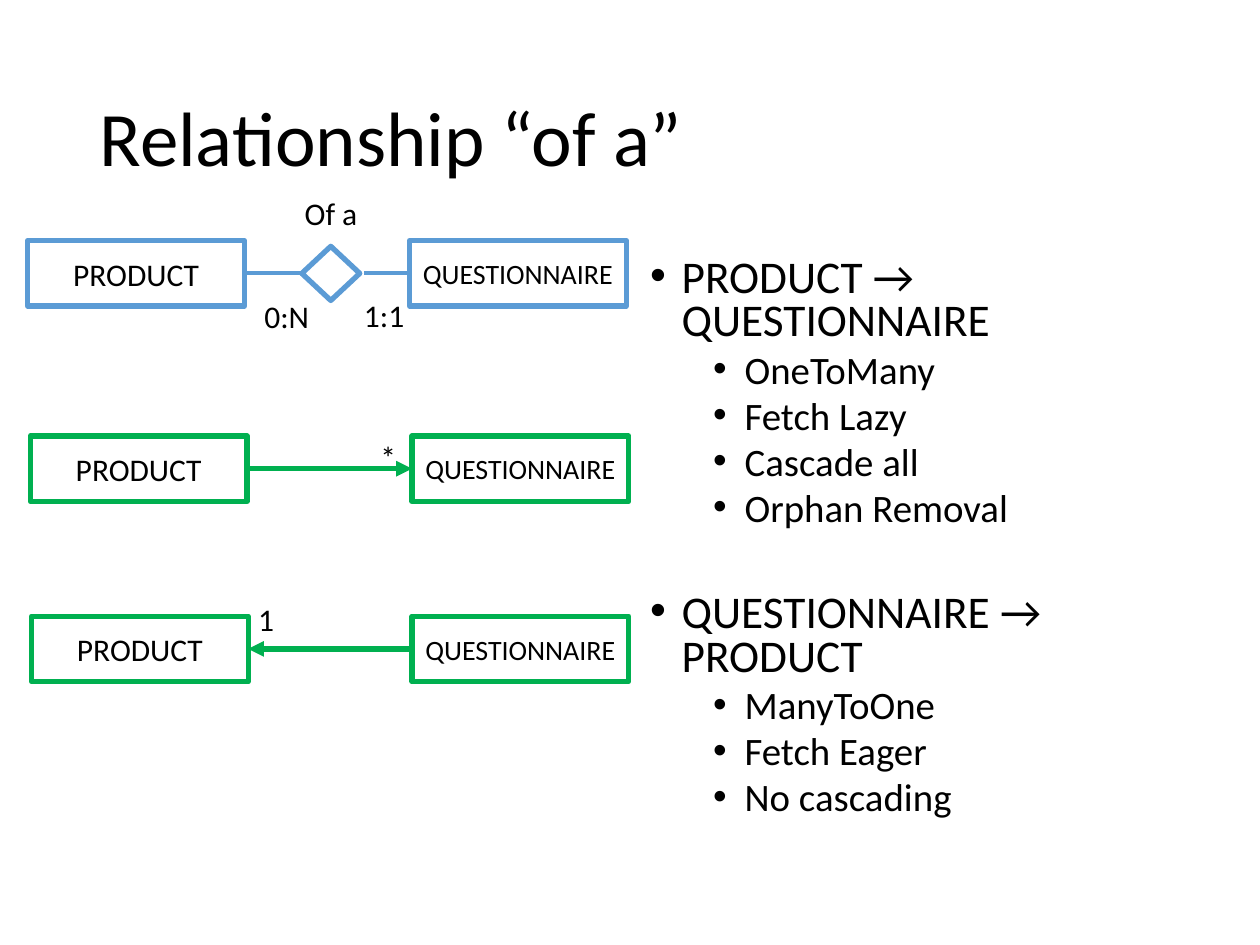
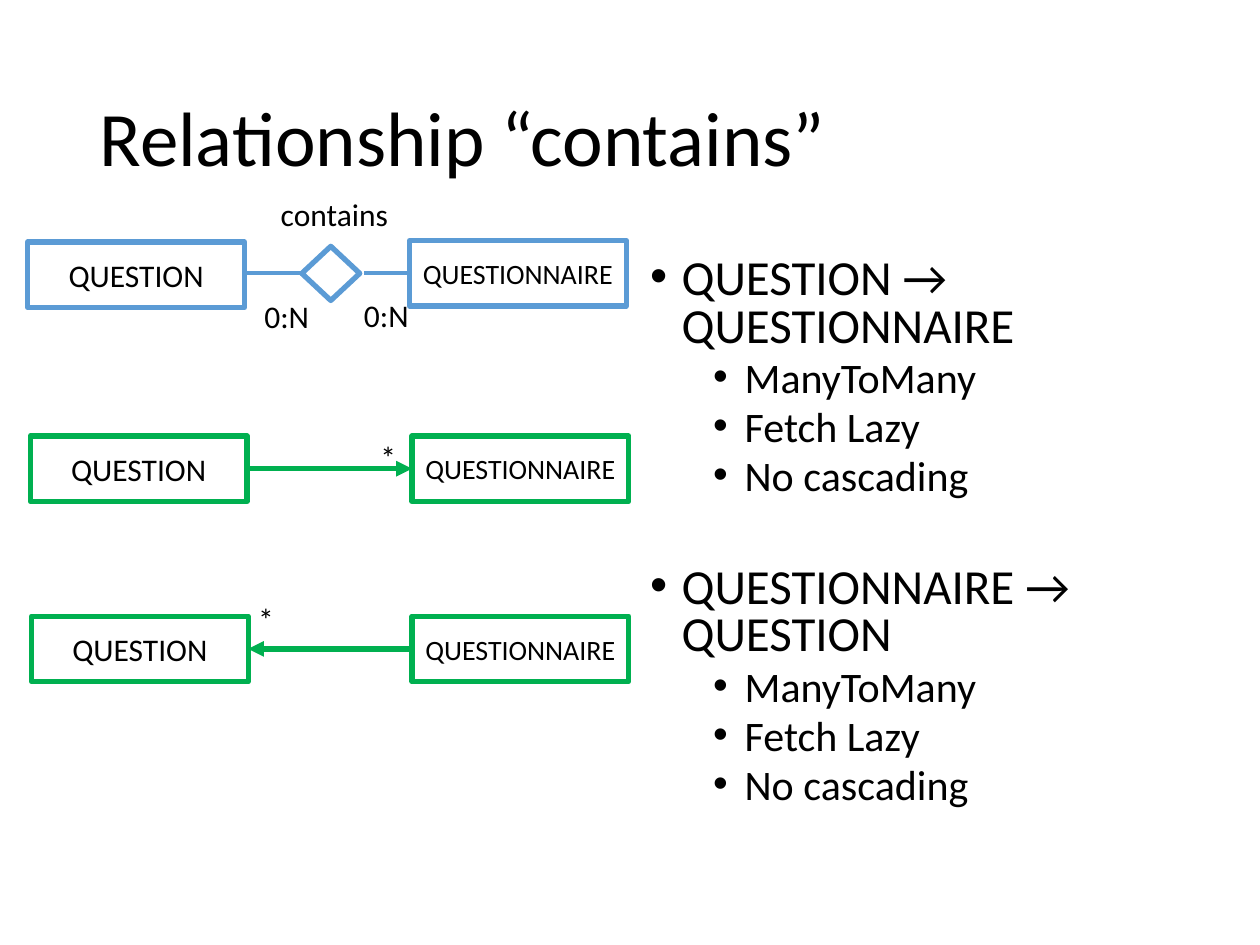
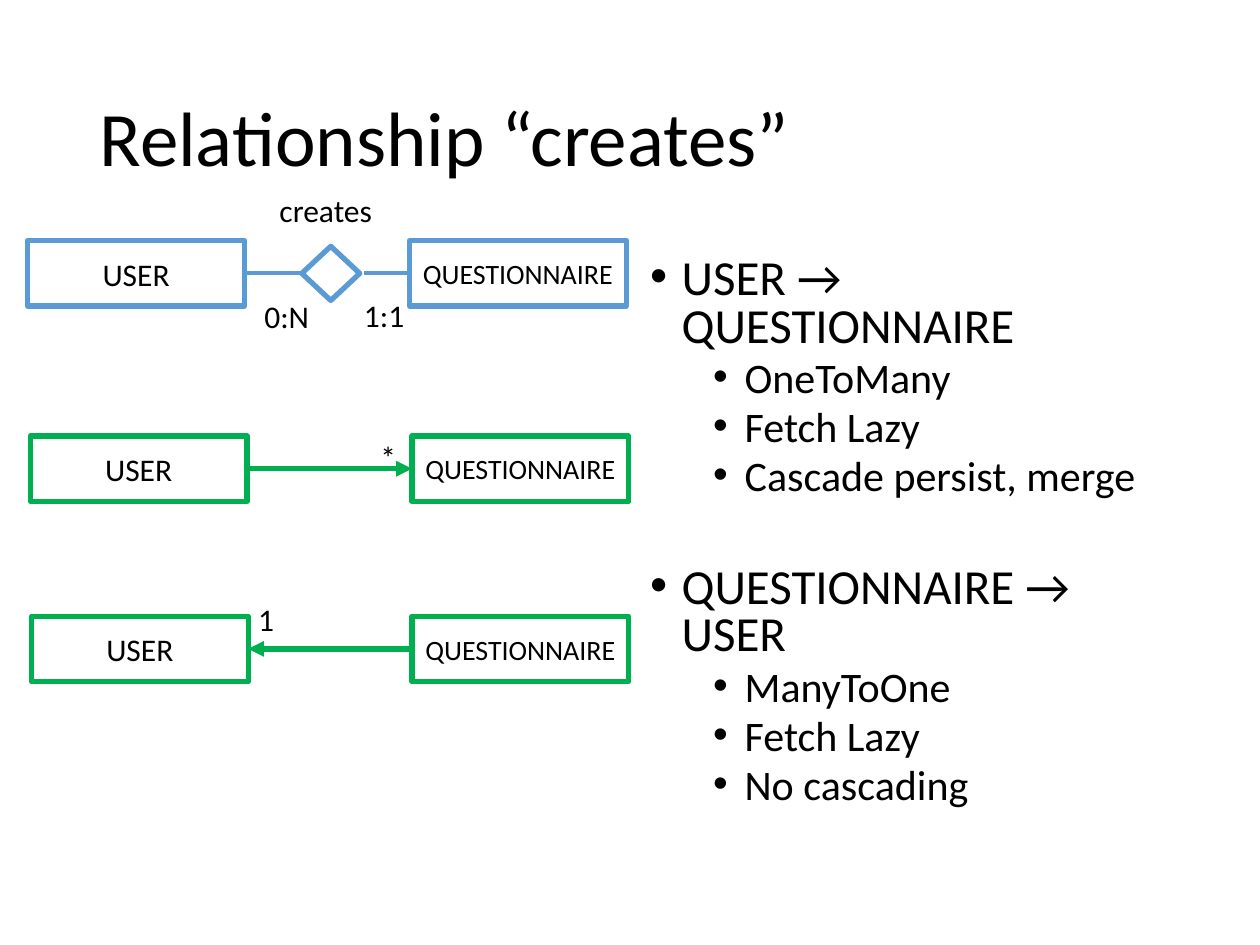
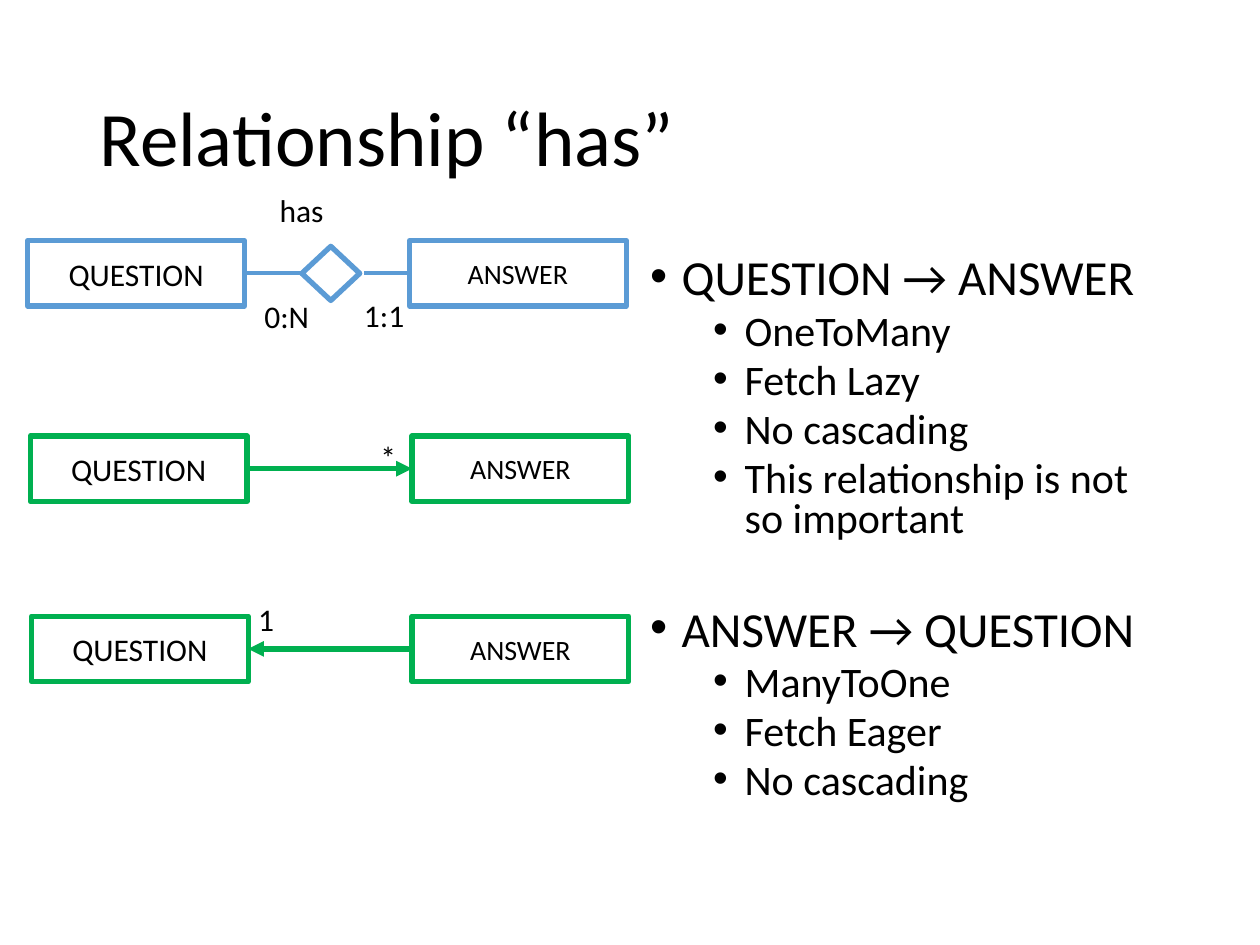
"""Build four slides that map entity relationships to object links."""
from dataclasses import dataclass

from lxml import etree
from pptx import Presentation
from pptx.dml.color import RGBColor
from pptx.enum.shapes import MSO_CONNECTOR, MSO_SHAPE
from pptx.enum.text import MSO_ANCHOR, MSO_AUTO_SIZE, PP_ALIGN
from pptx.oxml.ns import qn
from pptx.util import Emu, Pt

PX = 9144
FONT = "Calibri"
COLORS = {"text": "000000", "white": "FFFFFF", "blue": "5B9BD5", "green": "00B050"}
RECT, DIAMOND = MSO_SHAPE.RECTANGLE, MSO_SHAPE.DIAMOND
LINE = MSO_CONNECTOR.STRAIGHT
LEFT, CENTER = PP_ALIGN.LEFT, PP_ALIGN.CENTER
MIDDLE, TOP = MSO_ANCHOR.MIDDLE, MSO_ANCHOR.TOP
FIXED, GROW = MSO_AUTO_SIZE.NONE, MSO_AUTO_SIZE.SHAPE_TO_FIT_TEXT
BOX_W, BOX_H, TAG_H = 172, 52, 40


@dataclass(frozen=True)
class Tag:
    text: str
    left: int
    top: int
    width: int


@dataclass(frozen=True)
class Row:
    left: int
    right: int
    top: int
    color: str
    fill: str | None = None
    arrow: str | None = None

    @property
    def mid(self) -> int:
        return self.top + BOX_H // 2


@dataclass(frozen=True)
class Topic:
    verb: Tag
    source: str
    target: str
    near: Tag
    back: str
    there: list[str]
    home: list[str]
    head: float = 28
    sub: float = 24
    drop: int = 0


ER = Row(22, 325, 191, "blue", fill="white")
LINKS = [Row(24, 327, 346, "green", arrow="headEnd"),
         Row(25, 327, 489, "green", arrow="tailEnd")]
ONE = Tag("1:1", 279, 230, 53)
MANY = Tag("0:N", 279, 230, 56)
TOPICS = [
    Topic(Tag("Of a", 232, 149, 62), "PRODUCT", "QUESTIONNAIRE", ONE, "1",
          ["OneToMany", "Fetch Lazy", "Cascade all", "Orphan Removal"],
          ["ManyToOne", "Fetch Eager", "No cascading"], head=25.9, sub=22.2),
    Topic(Tag("contains", 213, 150, 106), "QUESTION", "QUESTIONNAIRE", MANY, "*",
          ["ManyToMany", "Fetch Lazy", "No cascading"],
          ["ManyToMany", "Fetch Lazy", "No cascading"], drop=1),
    Topic(Tag("creates", 212, 147, 94), "USER", "QUESTIONNAIRE", ONE, "1",
          ["OneToMany", "Fetch Lazy", "Cascade persist, merge"],
          ["ManyToOne", "Fetch Lazy", "No cascading"]),
    Topic(Tag("has", 212, 147, 55), "QUESTION", "ANSWER", ONE, "1",
          ["OneToMany", "Fetch Lazy", "No cascading",
           "This relationship is not so important"],
          ["ManyToOne", "Fetch Eager", "No cascading"]),
]


def px(*values: int) -> list[Emu]:
    """Turn px lengths into EMU."""
    return [Emu(value * PX) for value in values]


def rgb(name: str) -> RGBColor:
    """Look up a named colour."""
    return RGBColor.from_string(COLORS[name])


def style(para, size: float, align=LEFT) -> None:
    """Give a paragraph the shared font."""
    para.alignment = align
    para.font.name = FONT
    para.font.size = Pt(size)
    para.font.color.rgb = rgb("text")


def place(shape, left: int, top: int, width: int, height: int) -> None:
    """Move and size a placeholder."""
    shape.left, shape.top, shape.width, shape.height = px(left, top, width, height)


def add_title(slide, text: str) -> None:
    """Fill the title placeholder."""
    title = slide.shapes.title
    place(title, 69, 40, 862, 145)
    frame = title.text_frame
    frame.text = text
    frame.auto_size = FIXED
    frame.vertical_anchor = MIDDLE
    para = frame.paragraphs[0]
    para.line_spacing = 0.9
    style(para, 44)


def add_item(para, text: str, level: int, size: float, space: float) -> None:
    """Write one bulleted line of the list."""
    para.text = text
    para.level = level
    para.line_spacing = 0.8
    para.space_before = Pt(space)
    props = para._p.get_or_add_pPr()
    margin, indent = px(25 + 50 * level, -25)
    props.set("marL", str(margin))
    props.set("indent", str(indent))
    etree.SubElement(props, qn("a:buFont")).set("typeface", "Arial")
    etree.SubElement(props, qn("a:buChar")).set("char", "•")
    style(para, size)


def add_list(slide, topic: Topic) -> None:
    """Fill the body placeholder with both directions of the link."""
    body = slide.placeholders[1]
    place(body, 506, 200, 425, 476)
    frame = body.text_frame
    frame.auto_size = FIXED
    frame.vertical_anchor = TOP
    gap = 15 + 0.98 * topic.sub
    lines = [(f"{topic.source} → {topic.target}", 0, topic.head, 10)]
    lines += [(text, 1, topic.sub, 5) for text in topic.there]
    lines += [(f"{topic.target} → {topic.source}", 0, topic.head, gap)]
    lines += [(text, 1, topic.sub, 5) for text in topic.home]
    for spot, line in enumerate(lines):
        add_item(frame.add_paragraph() if spot else frame.paragraphs[0], *line)


def add_form(slide, kind, area: tuple[int, int, int, int], row: Row):
    """Draw an outlined shape in the colours of its row."""
    shape = slide.shapes.add_shape(kind, *px(*area))
    shape.shadow.inherit = False
    if row.fill:
        shape.fill.solid()
        shape.fill.fore_color.rgb = rgb(row.fill)
    else:
        shape.fill.background()
    shape.line.color.rgb = rgb(row.color)
    shape.line.width = Pt(3)
    return shape


def add_box(slide, text: str, left: int, top: int, size: int, row: Row) -> None:
    """Draw an entity box with its name."""
    frame = add_form(slide, RECT, (left, top, BOX_W, BOX_H), row).text_frame
    frame.text = text
    frame.word_wrap = True
    frame.vertical_anchor = MIDDLE
    style(frame.paragraphs[0], size, CENTER)


def add_pair(slide, topic: Topic, row: Row, drop: int = 0) -> None:
    """Draw the two entity boxes of a row."""
    add_box(slide, topic.target, row.right, row.top, 16, row)
    add_box(slide, topic.source, row.left, row.top + drop, 18, row)


def add_line(slide, start: int, end: int, row: Row, width: float) -> None:
    """Draw a level line at the middle of a row."""
    line = slide.shapes.add_connector(LINE, *px(start, row.mid, end, row.mid))
    line.line.color.rgb = rgb(row.color)
    line.line.width = Pt(width)
    etree.SubElement(line._element.spPr, qn("a:effectLst"))
    if row.arrow:
        stroke = line.line._get_or_add_ln()
        etree.SubElement(stroke, qn(f"a:{row.arrow}")).set("type", "triangle")


def add_tag(slide, tag: Tag) -> None:
    """Write a small label beside a line."""
    area = px(tag.left, tag.top, tag.width, TAG_H)
    frame = slide.shapes.add_textbox(*area).text_frame
    frame.text = tag.text
    frame.word_wrap = False
    frame.auto_size = GROW
    style(frame.paragraphs[0], 18)


def add_topic(deck, topic: Topic) -> None:
    """Build the slide of one relationship."""
    slide = deck.slides.add_slide(deck.slide_layouts[1])
    add_title(slide, f"Relationship “{topic.verb.text.lower()}”")
    add_list(slide, topic)
    add_pair(slide, topic, ER, topic.drop)
    add_form(slide, DIAMOND, (241, 194, 43, 46), ER).rotation = 90
    add_line(slide, ER.right, 289, ER, 2.25)
    add_line(slide, 240, ER.left + BOX_W, ER, 2.25)
    for tag in (topic.near, Tag("0:N", 200, 231, 56), topic.verb):
        add_tag(slide, tag)
    for row in LINKS:
        add_pair(slide, topic, row)
        add_line(slide, row.right, row.left + BOX_W, row, 3)
    add_tag(slide, Tag("*", 292, 343, 33))
    add_tag(slide, Tag(topic.back, 195, 471, 33))


def main() -> None:
    """Build and save the deck."""
    deck = Presentation()
    deck.slide_width, deck.slide_height = px(1000, 750)
    for topic in TOPICS:
        add_topic(deck, topic)
    deck.save("out.pptx")


if __name__ == "__main__":
    main()
